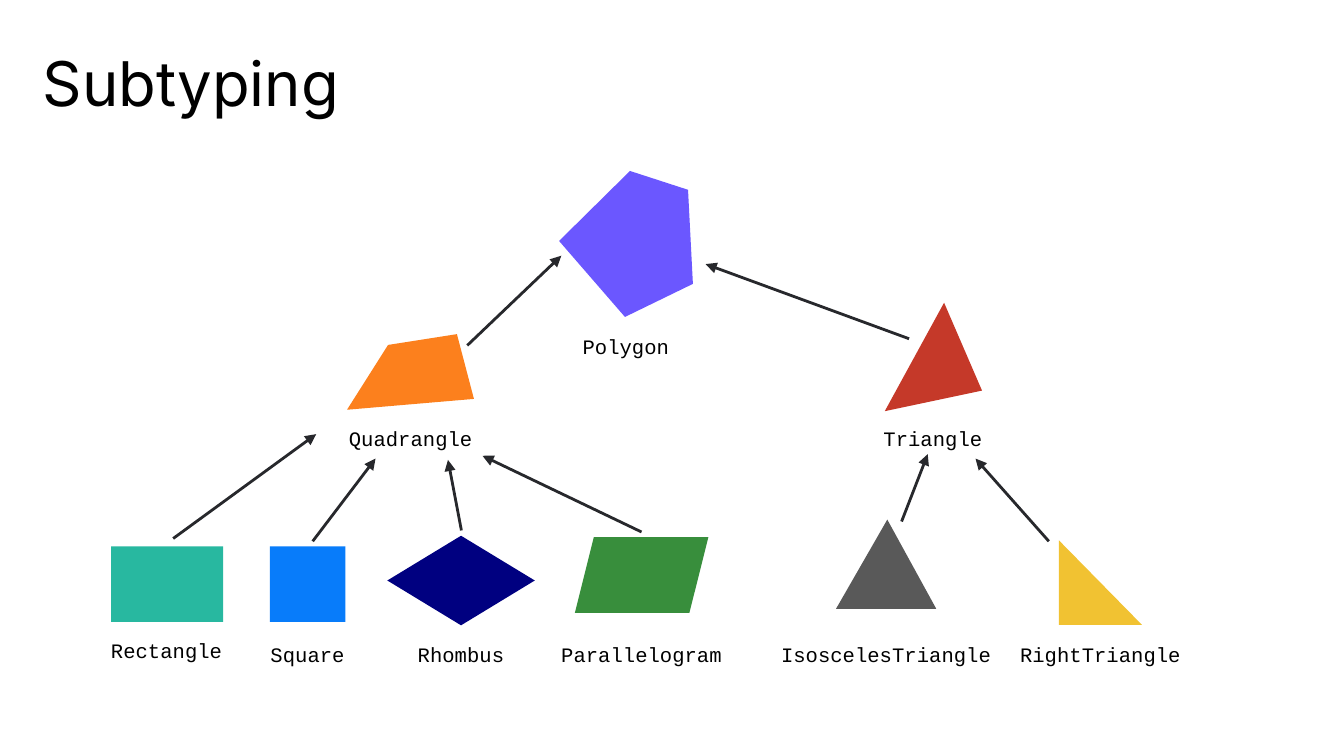
from lxml.etree import SubElement
from pptx import Presentation
from pptx.dml.color import RGBColor
from pptx.enum.shapes import MSO_CONNECTOR, MSO_SHAPE
from pptx.enum.text import MSO_ANCHOR, MSO_AUTO_SIZE, PP_ALIGN
from pptx.oxml.ns import qn
from pptx.util import Pt

BLACK = RGBColor(0x00, 0x00, 0x00)
CHARCOAL = RGBColor(0x27, 0x28, 0x2C)
VIOLET = RGBColor(0x6B, 0x57, 0xFF)
ORANGE = RGBColor(0xFC, 0x80, 0x1D)
RED = RGBColor(0xC5, 0x39, 0x29)
YELLOW = RGBColor(0xF1, 0xC2, 0x32)
GRAY = RGBColor(0x59, 0x59, 0x59)
NAVY = RGBColor(0x00, 0x00, 0x80)
TEAL = RGBColor(0x28, 0xB8, 0xA0)
BLUE = RGBColor(0x08, 0x7C, 0xFA)
GREEN = RGBColor(0x38, 0x8E, 0x3C)

# Figures with free corners: colour, corner points
POLYGONS = [
    (VIOLET, [(337.5, 91.6), (299.5, 129.1), (334.8, 169.8), (371.2, 152.1), (368.6, 101.7)]),
    (ORANGE, [(244.8, 179), (207.9, 184.8), (185.9, 219.5), (253.9, 213.7)]),
    (RED, [(505.8, 162.2), (474, 220.3), (526.1, 209.3)]),
    (YELLOW, [(567.3, 289.5), (567.3, 334.8), (611.8, 334.8)]),
    (GRAY, [(475.4, 278.4), (447.9, 326.2), (501.6, 326.2)]),
]

# Preset figures: kind, colour, left, top, width, height
PRESETS = [
    (MSO_SHAPE.FLOWCHART_DECISION, NAVY, 207.5, 287, 79, 48),
    (MSO_SHAPE.RECTANGLE, TEAL, 59.5, 292.7, 60, 40.5),
    (MSO_SHAPE.RECTANGLE, BLUE, 144.6, 292.7, 40.5, 40.5),
    (MSO_SHAPE.PARALLELOGRAM, GREEN, 308, 287.8, 71.5, 40.5),
]

# Type names: text, left, top, width
LABELS = [
    ("Polygon", 297, 170, 76.5),
    ("Quadrangle", 172, 219, 96),
    ("Triangle", 461.5, 219, 76.5),
    ("Rectangle", 51, 332.5, 76.5),
    ("Square", 126.5, 334.8, 76.5),
    ("Rhombus", 208.7, 334.8, 76.5),
    ("Parallelogram", 289.2, 334.8, 109),
    ("IsoscelesTriangle", 410.9, 334.8, 127.6),
    ("RightTriangle", 535, 334.8, 109),
]

# Arrows from subtype to supertype: start, end
ARROWS = [
    ((250.3, 185.1), (300.7, 137)),
    ((92.8, 288.5), (169.4, 232.6)),
    ((167.5, 290), (201.2, 245.7)),
    ((247.2, 284.2), (240, 246.4)),
    ((343.7, 285), (258.5, 244.2)),
    ((561.9, 290), (522.6, 245.7)),
    ((483, 279.4), (497, 243.3)),
    ((487, 181.5), (378, 141.5)),
]


def paint(sp, color):
    sp.fill.solid()
    sp.fill.fore_color.rgb = color
    sp.line.fill.background()
    sp.shadow.inherit = False


def add_polygon(s, color, points):
    (x, y), *rest = [(Pt(px), Pt(py)) for px, py in points]
    builder = s.shapes.build_freeform(x, y)
    builder.add_line_segments(rest, close=True)
    paint(builder.convert_to_shape(), color)


def add_preset(s, kind, color, *box):
    paint(s.shapes.add_shape(kind, *map(Pt, box)), color)


def add_text(s, text, box, font, size, spacing, align, inset):
    sp = s.shapes.add_textbox(*map(Pt, box))
    tf = sp.text_frame
    tf.word_wrap = True
    tf.vertical_anchor = MSO_ANCHOR.TOP
    tf.margin_left = tf.margin_right = Pt(inset)
    tf.margin_top = tf.margin_bottom = Pt(7.2)
    p = tf.paragraphs[0]
    p.alignment = align
    p.line_spacing = spacing
    r = p.add_run()
    r.text = text
    r.font.name = font
    r.font.size = Pt(size)
    r.font.color.rgb = BLACK
    return tf


def add_label(s, text, left, top, width):
    tf = add_text(s, text, (left, top, width, 28), "Courier New", 11, 1.15, PP_ALIGN.CENTER, 7.2)
    tf.auto_size = MSO_AUTO_SIZE.SHAPE_TO_FIT_TEXT


def add_arrow(s, start, end):
    line = s.shapes.add_connector(MSO_CONNECTOR.STRAIGHT, *map(Pt, start + end))
    line.line.color.rgb = CHARCOAL
    line.line.width = Pt(1.5)
    SubElement(line.line._get_or_add_ln(), qn("a:tailEnd"), type="triangle")
    SubElement(line._element.spPr, qn("a:effectLst"))


def main():
    prs = Presentation()
    prs.slide_width, prs.slide_height = Pt(720), Pt(405)
    s = prs.slides.add_slide(prs.slide_layouts[6])

    # Title
    add_text(s, "Subtyping", (23, 23, 670, 36), "Inter", 33, 0.85, PP_ALIGN.LEFT, 0)

    # Figures
    for polygon in POLYGONS:
        add_polygon(s, *polygon)
    for preset in PRESETS:
        add_preset(s, *preset)

    # Type names and the arrows between them
    for label in LABELS:
        add_label(s, *label)
    for arrow in ARROWS:
        add_arrow(s, *arrow)

    prs.save("out.pptx")


if __name__ == "__main__":
    main()
